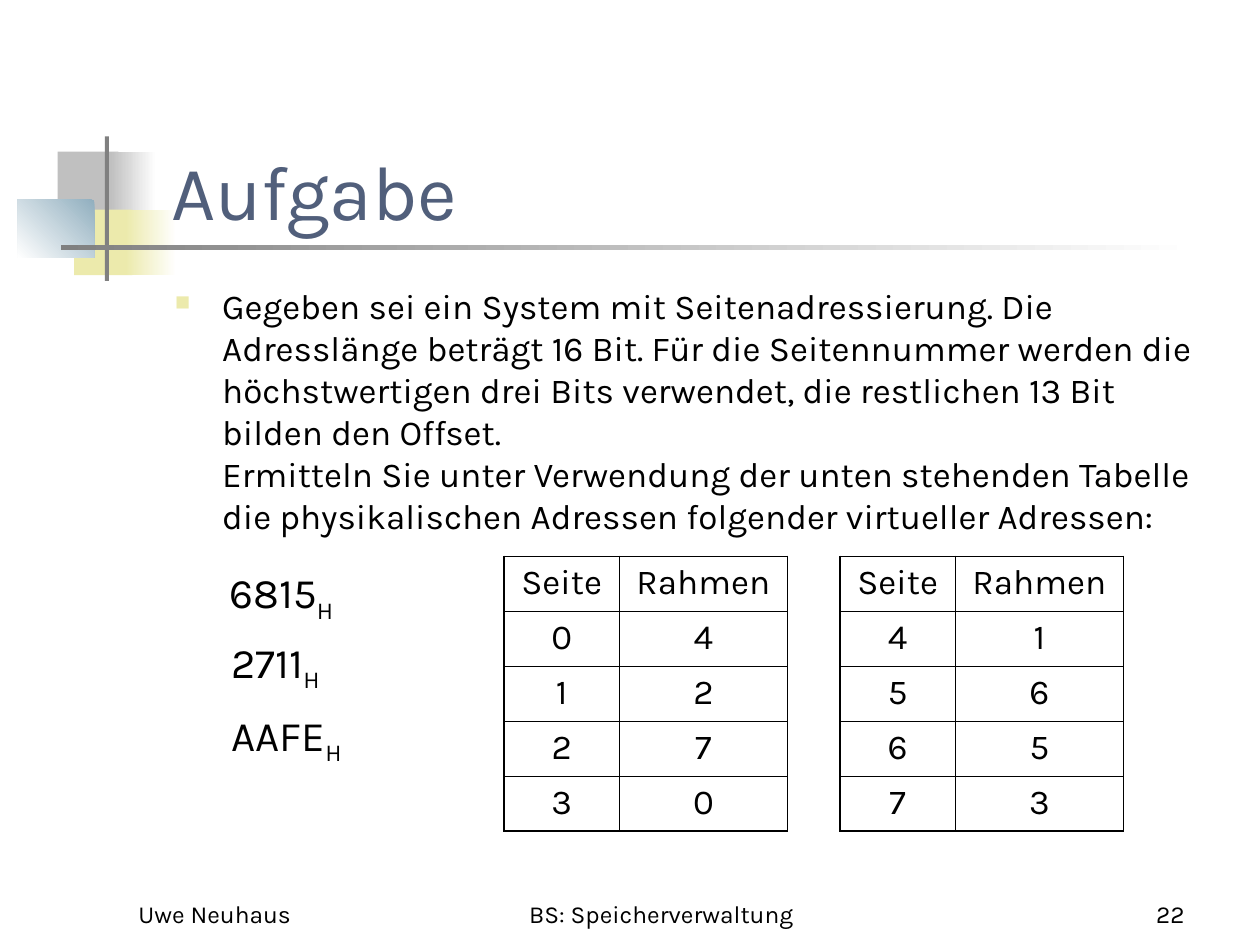
from lxml.etree import SubElement
from pptx import Presentation
from pptx.dml.color import RGBColor
from pptx.enum.shapes import MSO_SHAPE as Preset
from pptx.enum.text import MSO_ANCHOR as Anchor, MSO_AUTO_SIZE as AutoSize, PP_ALIGN as Align
from pptx.oxml.ns import qn
from pptx.util import Pt

FONT = "Karla"
COLORS = {
    "text": "000000",
    "title": "515F7B",
    "white": "FFFFFF",
    "silver": "C0C0C0",
    "yellow": "ECEAAC",
    "blue": "91AFBF",
    "gray": "808080",
}
EXERCISE = [
    "Gegeben sei ein System mit Seitenadressierung. Die Adresslänge beträgt 16 Bit. "
    "Für die Seitennummer werden die höchstwertigen drei Bits verwendet, "
    "die restlichen 13 Bit bilden den Offset. ",
    "Ermitteln Sie unter Verwendung der unten stehenden Tabelle "
    "die physikalischen Adressen folgender virtueller Adressen:",
]
FRAMES = [4, 2, 7, 0, 1, 6, 5, 3]
ADDRESSES = [("6815", 124, 320.4), ("2711", 125.3, 360), ("AAFE", 125.3, 401.8)]


def rgb(name):
    """Return the named colour."""
    return RGBColor.from_string(COLORS[name])


def add_run(paragraph, text, size, color="text"):
    """Append one formatted run."""
    run = paragraph.add_run()
    run.text = text
    run.font.name = FONT
    run.font.size = Pt(size)
    run.font.color.rgb = rgb(color)
    return run


def add_frame(slide, box, anchor=Anchor.TOP, wrap=True):
    """Add an empty text box and return its text frame."""
    frame = slide.shapes.add_textbox(*map(Pt, box)).text_frame
    frame.word_wrap = wrap
    frame.vertical_anchor = anchor
    return frame


def add_block(slide, box, start, end=None, angle=0):
    """Add a borderless rectangle, plain or with a gradient."""
    block = slide.shapes.add_shape(Preset.RECTANGLE, *map(Pt, box))
    block.shadow.inherit = False
    block.line.fill.background()
    if end is None:
        block.fill.solid()
        block.fill.fore_color.rgb = rgb(start)
        return
    block.fill.gradient()
    block.fill.gradient_angle = angle
    for stop, color in zip(block.fill.gradient_stops, (start, end)):
        stop.color.rgb = rgb(color)


def add_ornament(slide, left, top):
    """Draw the overlapping blocks and the crossing bars."""
    blocks = [
        ((23, 8.6, 34.6, 37.4), "silver"),
        ((53.3, 8.6, 25.9, 37.4), "white", "silver", 180),
        ((32.4, 41.8, 33.2, 37.4), "yellow"),
        ((61.9, 41.8, 28.9, 37.4), "white", "yellow", 180),
        ((0, 36, 44, 33.2), "blue", "white", 225),
        ((49.9, 0, 2.4, 82.6), "gray"),
        ((24.7, 62.2, 648, 2.5), "white", "gray", 180),
    ]
    for (x, y, width, height), *fill in blocks:
        add_block(slide, (left + x, top + y, width, height), *fill)


def add_title(slide, box):
    """Write the slide title."""
    add_run(add_frame(slide, box, Anchor.BOTTOM).paragraphs[0], "Aufgabe", 44, "title")


def add_exercise(slide, box):
    """Write the bulleted exercise."""
    paragraph = add_frame(slide, box).paragraphs[0]
    paragraph.space_before = Pt(5)
    first, second = EXERCISE
    add_run(paragraph, first, 20)
    paragraph.add_line_break()
    add_run(paragraph, second, 20)
    props = paragraph._p.get_or_add_pPr()
    props.set("marL", str(Pt(27)))
    props.set("indent", str(Pt(-27)))
    bullet_color = SubElement(props, qn("a:buClr"))
    SubElement(bullet_color, qn("a:srgbClr"), val=COLORS["yellow"])
    SubElement(props, qn("a:buSzPct"), val="60000")
    SubElement(props, qn("a:buChar"), char="■")


def set_borders(cell, outer):
    """Draw all four borders, thicker on the outer sides."""
    props = cell._tc.get_or_add_tcPr()
    for index, side in enumerate("LRTB"):
        width = Pt(1.08 if side in outer else 0.45)
        line = SubElement(props, qn(f"a:ln{side}"), w=str(width))
        fill = SubElement(line, qn("a:solidFill"))
        SubElement(fill, qn("a:srgbClr"), val=COLORS["text"])
        props.insert(index, line)


def add_page_table(slide, left, top, first_page, frames):
    """Add a table that maps pages to frames."""
    rows = [("Seite", "Rahmen"), *enumerate(frames, first_page)]
    widths, row_height = (66, 96), 31.4
    size = (sum(widths), row_height * len(rows))
    table = slide.shapes.add_table(len(rows), 2, *map(Pt, (left, top, *size))).table
    table.first_row = table.horz_banding = False
    for column, width in zip(table.columns, widths):
        column.width = Pt(width)
    for r, values in enumerate(rows):
        table.rows[r].height = Pt(row_height)
        vertical = {0: "T", len(rows) - 1: "B"}.get(r, "")
        for c, value in enumerate(values):
            cell = table.cell(r, c)
            cell.fill.background()
            paragraph = cell.text_frame.paragraphs[0]
            paragraph.alignment = Align.CENTER
            paragraph.space_before = Pt(5)
            add_run(paragraph, str(value), 20)
            set_borders(cell, "LR"[c] + vertical)


def add_address(slide, box, digits):
    """Write a hexadecimal address with its base as subscript."""
    frame = add_frame(slide, box, wrap=False)
    frame.auto_size = AutoSize.SHAPE_TO_FIT_TEXT
    add_run(frame.paragraphs[0], digits, 24)
    base = add_run(frame.paragraphs[0], "H", 24)
    base.font._element.set("baseline", "-25000")


def add_footer(slide, top, height):
    """Write author, lecture and page number."""
    parts = [
        ("Uwe Neuhaus", 72, 150, Align.LEFT),
        ("BS: Speicherverwaltung", 264, 228, Align.CENTER),
        ("22", 534, 150, Align.RIGHT),
    ]
    for text, left, width, alignment in parts:
        frame = add_frame(slide, (left, top, width, height), Anchor.BOTTOM)
        frame.paragraphs[0].alignment = alignment
        add_run(frame.paragraphs[0], text, 14)


def main():
    """Build and save the slide."""
    deck = Presentation()
    deck.slide_width, deck.slide_height = Pt(720), Pt(540)
    slide = deck.slides.add_slide(deck.slide_layouts[6])
    add_ornament(slide, 10, 78)
    add_title(slide, (90.7, 48.2, 613.4, 90))
    add_exercise(slide, (92.9, 159.1, 612, 324))
    half = len(FRAMES) // 2
    for index in range(2):
        first_page = index * half
        add_page_table(slide, 288 + index * 192, 318, first_page,
                       FRAMES[first_page:first_page + half])
    for digits, left, top in ADDRESSES:
        add_address(slide, (left, top, 80, 40.3), digits)
    add_footer(slide, 498, 36)
    deck.save("out.pptx")


if __name__ == "__main__":
    main()
